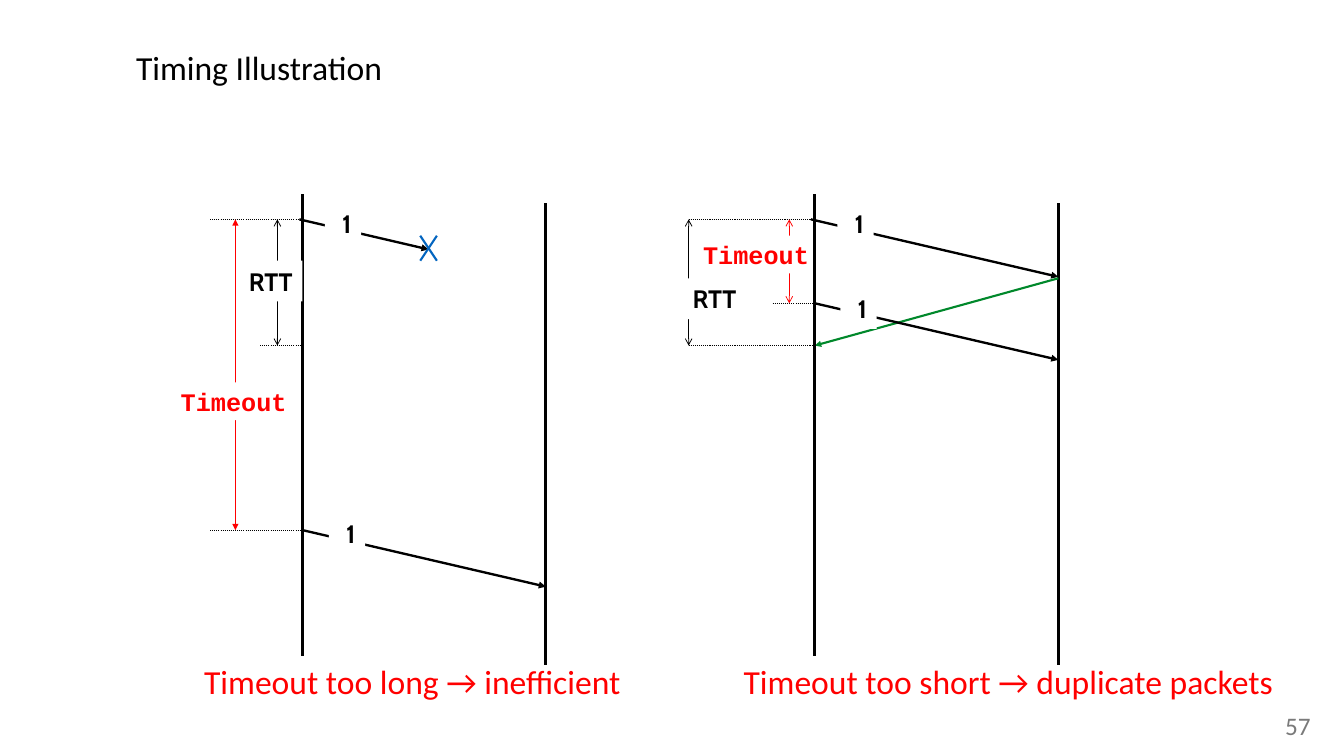
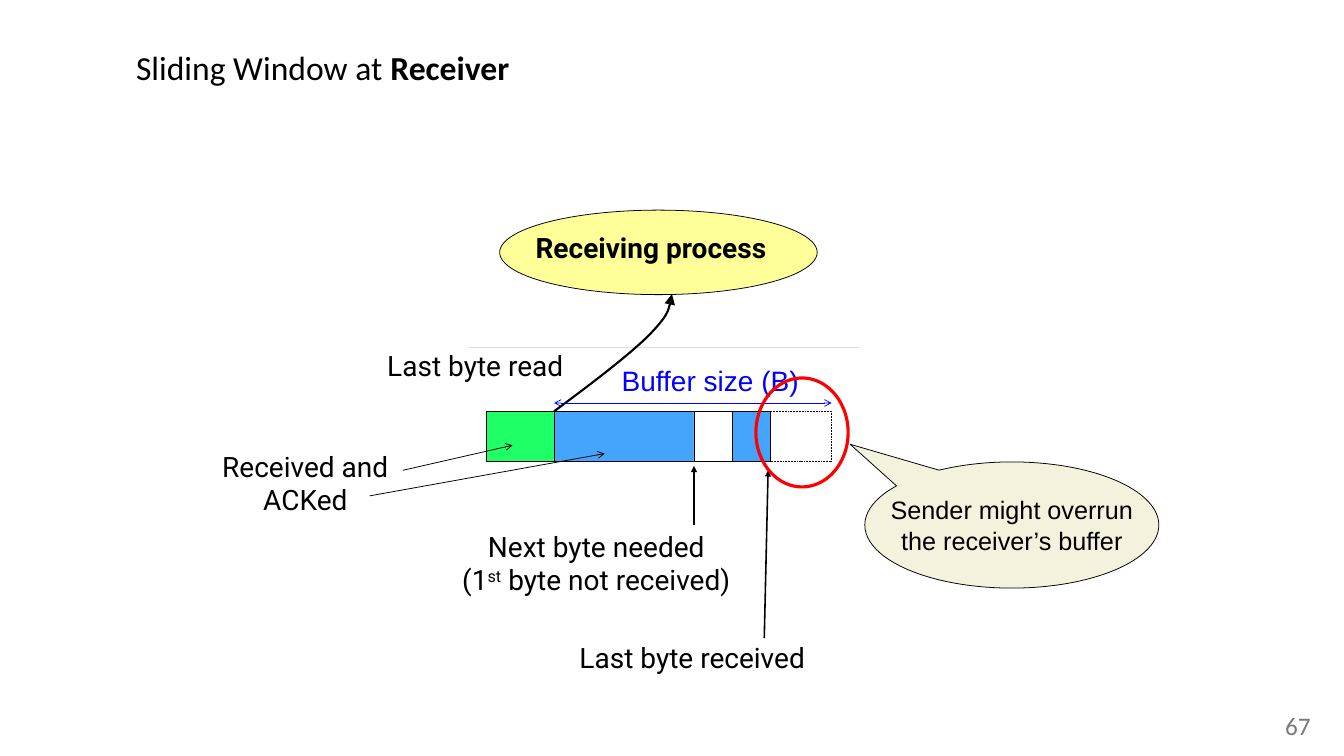
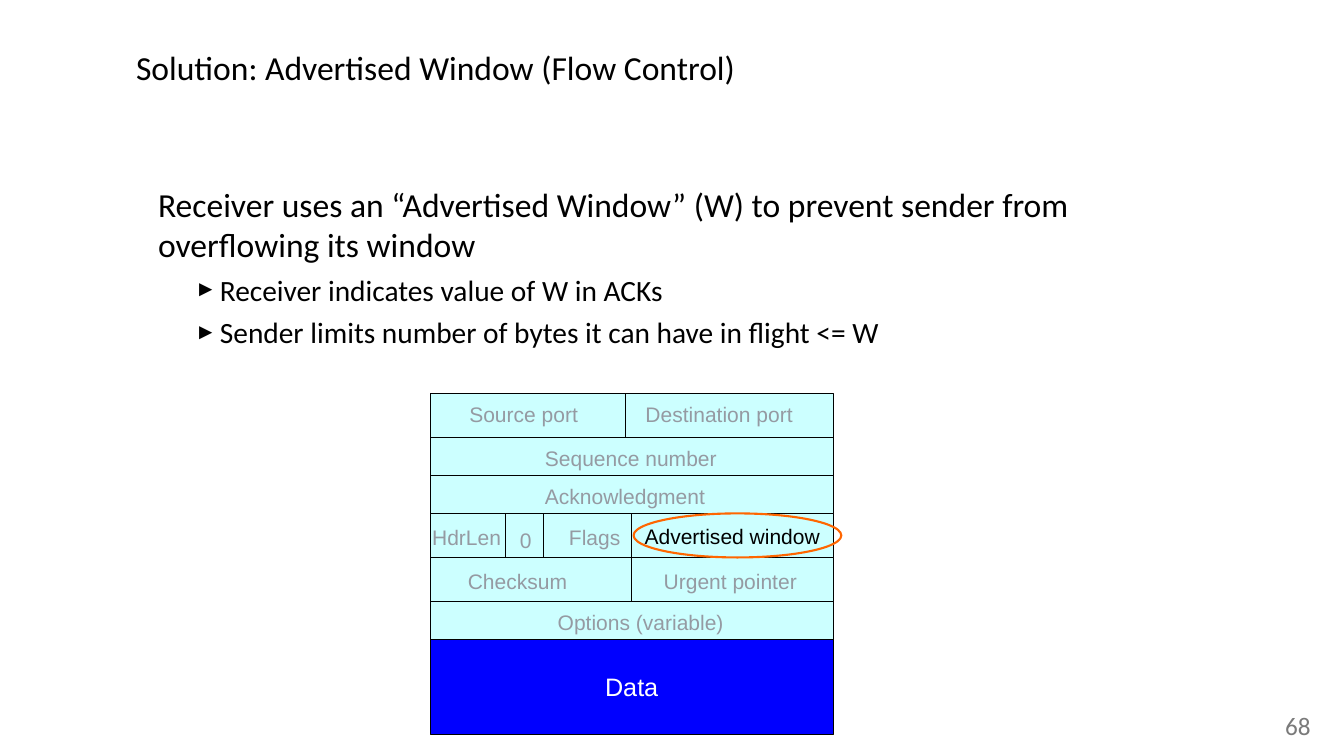
from lxml import etree
from pptx import Presentation
from pptx.dml.color import RGBColor
from pptx.enum.dml import MSO_LINE
from pptx.enum.shapes import MSO_CONNECTOR, MSO_SHAPE
from pptx.enum.text import MSO_ANCHOR, MSO_AUTO_SIZE, PP_ALIGN
from pptx.oxml.ns import qn
from pptx.util import Cm, Pt

BLACK, WHITE, RED, BLUE = "000000", "FFFFFF", "FF0000", "0000FF"
GREY, CYAN, SKY = "959AA2", "CCFFFF", "45A4FC"
RECT, OVAL = MSO_SHAPE.RECTANGLE, MSO_SHAPE.OVAL
LEFT, CENTER, RIGHT = PP_ALIGN.LEFT, PP_ALIGN.CENTER, PP_ALIGN.RIGHT
DOTTED = MSO_LINE.ROUND_DOT
rgb = RGBColor.from_string


def box(s, kind, x, y, w, h, text="", fill=None, line=None, weight=0.75, dash=None,
        font="Arial", size=20, color=BLACK, bold=False, align=CENTER,
        middle=False, wrap=False, margins=(0.25, 0.13)):
    """Add a shape, or a text box if kind is None; ^ marks superscript on and off."""
    pos = [Cm(v) for v in (x, y, w, h)]
    sp = s.shapes.add_shape(kind, *pos) if kind else s.shapes.add_textbox(*pos)
    sp.shadow.inherit = False
    if fill:
        sp.fill.solid()
        sp.fill.fore_color.rgb = rgb(fill)
    else:
        sp.fill.background()
    if line:
        sp.line.color.rgb = rgb(line)
        sp.line.width = Pt(weight)
        if dash:
            sp.line.dash_style = dash
    else:
        sp.line.fill.background()
    if not text:
        return sp
    tf = sp.text_frame
    mx, my = Cm(margins[0]), Cm(margins[1])
    frame = {"margin_left": mx, "margin_right": mx, "margin_top": my, "margin_bottom": my,
             "word_wrap": wrap,
             "vertical_anchor": MSO_ANCHOR.MIDDLE if middle else MSO_ANCHOR.TOP,
             "auto_size": MSO_AUTO_SIZE.NONE if middle else MSO_AUTO_SIZE.SHAPE_TO_FIT_TEXT}
    for name, value in frame.items():
        setattr(tf, name, value)
    p = tf.paragraphs[0]
    p.alignment = align
    for i, row in enumerate(text.split("\n")):
        if i:
            p.add_line_break()
        for j, piece in enumerate(row.split("^")):
            r = p.add_run()
            r.text = piece
            for name, value in {"name": font, "size": Pt(size), "bold": bold}.items():
                setattr(r.font, name, value)
            r.font.color.rgb = rgb(color)
            if j % 2:
                r.font._element.set("baseline", "30000")
    return sp


def connect(s, x1, y1, x2, y2, color=BLACK, weight=0.75, head=None, tail=None, dash=None):
    c = s.shapes.add_connector(MSO_CONNECTOR.STRAIGHT, Cm(x1), Cm(y1), Cm(x2), Cm(y2))
    c.line.color.rgb = rgb(color)
    c.line.width = Pt(weight)
    if dash:
        c.line.dash_style = dash
    spPr = c._element.spPr
    ln = spPr.find(qn("a:ln"))
    for tag, end in (("a:headEnd", head), ("a:tailEnd", tail)):
        if end:
            etree.SubElement(ln, qn(tag), type=end)
    etree.SubElement(spPr, qn("a:effectLst"))


prs = Presentation()
prs.slide_width, prs.slide_height = Cm(45.16), Cm(25.4)

# Shared title style and slide number
slides = []
for layout, number, title, strong in (
        (5, "57", "Timing Illustration", ""),
        (5, "67", "Sliding Window at ", "Receiver"),
        (1, "68", "Solution: Advertised Window (Flow Control)", "")):
    s = prs.slides.add_slide(prs.slide_layouts[layout])
    sp = s.shapes.title
    sp.left, sp.top, sp.width, sp.height = Cm(4.42), Cm(0), Cm(36.35), Cm(4.52)
    tf = sp.text_frame
    tf.vertical_anchor = MSO_ANCHOR.MIDDLE
    for side in ("left", "right", "top", "bottom"):
        setattr(tf, f"margin_{side}", Cm(0.15))
    p = tf.paragraphs[0]
    p.alignment = LEFT
    for text, bold in ((title, False), (strong, True)):
        if text:
            r = p.add_run()
            r.text = text
            r.font.name, r.font.size, r.font.bold = "Calibri", Pt(32), bold
            r.font.color.rgb = rgb(BLACK)
    box(s, None, 43.03, 23.85, 1.17, 1.27, number, font="Calibri", size=24,
        color="7A7A7A", margins=(0, 0))
    slides.append(s)
timing, receiver, solution = slides

# Timing illustration: timelines of a sender and a receiver, twice
s = timing
SENDER_1, SENDER_2, GAP = 10.16, 27.38, 8.18
RECEIVER_1, RECEIVER_2 = SENDER_1 + GAP, SENDER_2 + GAP
SENT, RTT_END, LONG_END, SHORT_END = 7.37, 11.61, 17.81, 10.19

for x, y in ((SENDER_1, 6.53), (RECEIVER_1, 6.83), (RECEIVER_2, 6.83)):
    connect(s, x, y, x, y + 15.52, weight=3)
for x1, y1, x2, y2, color, weight in (
        (SENDER_1 - 0.1, SENT, 14.4, 8.38, BLACK, 2.25),
        (SENDER_1, LONG_END, RECEIVER_1, 19.71, BLACK, 2.25),
        (SENDER_2 - 0.13, SENT, RECEIVER_2, 9.3, BLACK, 2.25),
        (RECEIVER_2, 9.35, SENDER_2, RTT_END, "00882B", 2),
        (SENDER_2, SHORT_END, RECEIVER_2, 12.09, BLACK, 2.25)):
    connect(s, x1, y1, x2, y2, color, weight, tail="triangle")
for y1, y2 in ((7.92, 8.76), (8.76, 7.92)):
    connect(s, 14.12, y1, 14.68, y2, "0365C0", 2)
for x1, x2, y in (
        (7.06, SENDER_1, SENT), (8.74, SENDER_1, RTT_END), (7.06, SENDER_1, LONG_END),
        (23.14, SENDER_2, SENT), (25.96, SENDER_2, SHORT_END), (23.14, SENDER_2, RTT_END)):
    connect(s, x1, y, x2, y, weight=1, dash=DOTTED)

for x in (9.32, 23.14):
    connect(s, x, SENT, x, RTT_END, head="arrow", tail="arrow")
for text, w, spots in (
        ("1", 1.22, ((10.92, 6.81), (11.05, 17.25), (28.14, 6.81), (28.24, 9.68))),
        ("RTT", 2.36, ((7.8, 8.76), (22.71, 9.35)))):
    for x, y in spots:
        box(s, RECT, x, y, w, 1.37, text, WHITE, font="Cabin", size=24, bold=True,
            align=RIGHT, margins=(0.33, 0.18))

# The timeout spans lie above the RTT labels
for x, end, weight, arrow, label_x, label_y in (
        (7.91, LONG_END, 1, "triangle", 5.79, 12.85),
        (26.52, SHORT_END, 0.75, "arrow", 23.34, 7.92)):
    connect(s, x, SENT, x, end, RED, weight, arrow, arrow)
    box(s, RECT, label_x, label_y, 4.09, 1.27, "Timeout", WHITE, font="Courier New",
        size=24, color=RED, bold=True, align=RIGHT)
connect(s, SENDER_2, 6.53, SENDER_2, 22.05, weight=3)
for x, w, text in ((5.23, 17.27, "Timeout too long → inefficient"),
                   (23.5, 20.78, "Timeout too short → duplicate packets")):
    box(s, None, x, 22.02, w, 1.7, text, font="Calibri", size=32, color=RED,
        wrap=True, margins=(0.33, 0.18))

# Sliding window: receive buffer
s = receiver
BUFFER_TOP, READ_X, BUFFER_END = 13.82, 18.62, 27.94
box(s, OVAL, 16.79, 7.06, 10.67, 2.84, fill="FFFF99", line=BLACK)
connect(s, 15.77, 11.66, 28.85, 11.66, "DCDEE0")
for x, w, fill, dash in ((16.36, 2.29, "1FFF66", None), (READ_X, 4.83, SKY, None),
                         (23.32, 1.29, WHITE, None), (24.61, 1.27, SKY, None),
                         (25.88, 2.06, None, DOTTED)):
    box(s, RECT, x, BUFFER_TOP, w, 1.7, fill=fill, line=BLACK, dash=dash)

# The points after the first become two Bézier curves
fb = s.shapes.build_freeform(Cm(READ_X), Cm(BUFFER_TOP))
fb.add_line_segments([(Cm(x), Cm(y)) for x, y in (
    (19.89, 12.88), (21.16, 11.91), (21.82, 11.25),
    (22.45, 10.59), (22.53, 10.24), (22.58, 9.88))], close=False)
curve = fb.convert_to_shape()
curve.shadow.inherit = False
curve.fill.background()
curve.line.color.rgb = rgb(BLACK)
curve.line.width = Pt(2)
etree.SubElement(curve._element.spPr.find(qn("a:ln")), qn("a:tailEnd"),
                 type="triangle", w="lg", len="lg")
outline = next(curve._element.iter(qn("a:path")))
segments = outline.findall(qn("a:lnTo"))
for i in range(0, len(segments), 3):
    bezier = etree.SubElement(outline, qn("a:cubicBezTo"))
    for segment in segments[i:i + 3]:
        bezier.append(segment[0])
        outline.remove(segment)

for x1, y1, x2, y2, weight, tail in (
        (23.32, 17.65, 23.32, 15.65, 1.5, "triangle"),
        (25.68, 21.44, 25.81, 15.8, 1.5, "triangle"),
        (13.54, 15.8, 17.22, 14.96, 0.75, "arrow"),
        (12.42, 16.66, 20.32, 15.24, 0.75, "arrow")):
    connect(s, x1, y1, x2, y2, weight=weight, tail=tail)
connect(s, READ_X, 13.54, BUFFER_END, 13.54, BLUE, head="arrow", tail="arrow")
for x, y, w, h, text, bold in (
        (17.42, 7.62, 8.92, 1.4, "Receiving process", True),
        (12.7, 11.58, 6.55, 1.4, "Last byte read", False),
        (6.96, 14.96, 6.6, 2.54, "Received and\nACKed", False),
        (15.2, 17.65, 9.68, 2.54, "Next byte needed\n(1^st^ byte not received)", False),
        (19.15, 21.39, 8.23, 1.4, "Last byte received", False)):
    box(s, None, x, y, w, h, text, font="Roboto", size=26.7, bold=bold)
box(s, None, 20.6, 12.07, 6.5, 1.4, "Buffer size (B)", size=26.7, color=BLUE, align=RIGHT)
box(s, OVAL, 25.4, 12.7, 3.1, 3.66, line=RED, weight=3)
callout = box(s, MSO_SHAPE.OVAL_CALLOUT, 29.06, 15.52, 9.88, 4.24,
              "Sender might overrun\nthe receiver’s buffer", "F3F3DD", BLACK,
              size=24, middle=True, margins=(0.33, 0.18))
callout.adjustments[0], callout.adjustments[1] = -0.55, -0.64

# Solution: list and TCP header
s = solution
body = s.placeholders[1]
body.left, body.top, body.width, body.height = Cm(4.42), Cm(6.17), Cm(36.35), Cm(15.9)
tf = body.text_frame
tf.auto_size = MSO_AUTO_SIZE.NONE
for side in ("left", "right", "top", "bottom"):
    setattr(tf, f"margin_{side}", 0)
for i, (level, text) in enumerate((
        (0, "Receiver uses an “Advertised Window” (W) to prevent sender from "
            "overflowing its window"),
        (1, "Receiver indicates value of W in ACKs"),
        (1, "Sender limits number of bytes it can have in flight <= W"))):
    p = tf.add_paragraph() if i else tf.paragraphs[0]
    p.level = level
    p.space_before = Pt(7 if i else 0)
    pPr = p._p.get_or_add_pPr()
    pPr.set("marL", str(Cm(2.97 if level else 0.89)))
    pPr.set("indent", str(Cm(-0.84 if level else 0)))
    if level:
        etree.SubElement(pPr, qn("a:buSzPct"), val="75000")
        etree.SubElement(pPr, qn("a:buChar"), char="►")
    else:
        etree.SubElement(pPr, qn("a:buNone"))
    r = p.add_run()
    r.text = text
    r.font.name, r.font.size = "Calibri", Pt(28 if level else 32)
    r.font.color.rgb = rgb(BLACK)

HEADER_LEFT, FULL, HALF = 14.45, 13.55, 6.78
y = 13.23
for h, widths in ((1.48, (6.56, 6.99)), (1.27, (FULL,)), (1.27, (FULL,)),
                  (1.48, (HALF, HALF)), (1.48, (HALF, HALF)), (1.27, (FULL,))):
    x = HEADER_LEFT
    for w in widths:
        box(s, RECT, x, y, w, h, fill=CYAN, line=BLACK)
        x += w
    y += h
box(s, RECT, HEADER_LEFT, y, FULL, 3.18, "Data", BLUE, BLACK, size=24, color=WHITE,
    middle=True)
for x in (16.99, 18.26):
    connect(s, x, 17.25, x, 18.73)
for x, y, w, text, fill, color in (
        (15.52, 13.36, 4.17, "Source port", CYAN, GREY),
        (21.44, 13.36, 5.46, "Destination port", CYAN, GREY),
        (18.06, 14.83, 6.35, "Sequence number", CYAN, GREY),
        (18.06, 16.1, 5.97, "Acknowledgment", CYAN, GREY),
        (14.27, 17.48, 2.97, "HdrLen", None, GREY),
        (17.22, 17.6, 0.91, "0", CYAN, GREY),
        (18.87, 17.5, 2.26, "Flags", CYAN, GREY),
        (21.41, 17.45, 6.4, "Advertised window", CYAN, BLACK),
        (15.47, 18.97, 3.84, "Checksum", CYAN, GREY),
        (22.05, 18.97, 5.03, "Urgent pointer", CYAN, GREY),
        (18.49, 20.35, 6.8, "Options (variable)", CYAN, GREY)):
    box(s, RECT if fill else None, x, y, w, 1.1, text, fill, color=color, align=LEFT)
box(s, OVAL, 21.29, 17.25, 6.98, 1.48, line="FF6600", weight=2)

prs.save("out.pptx")
